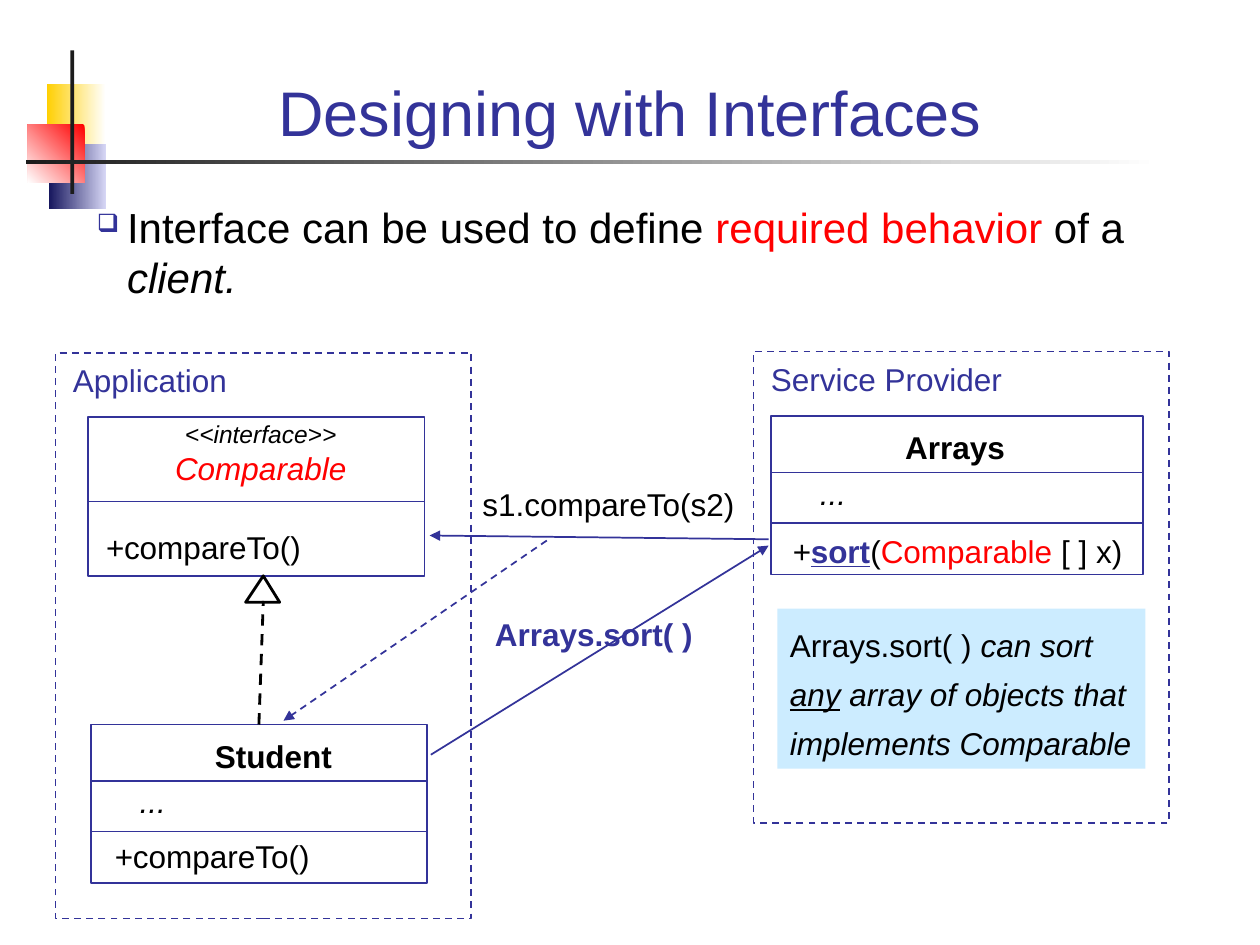
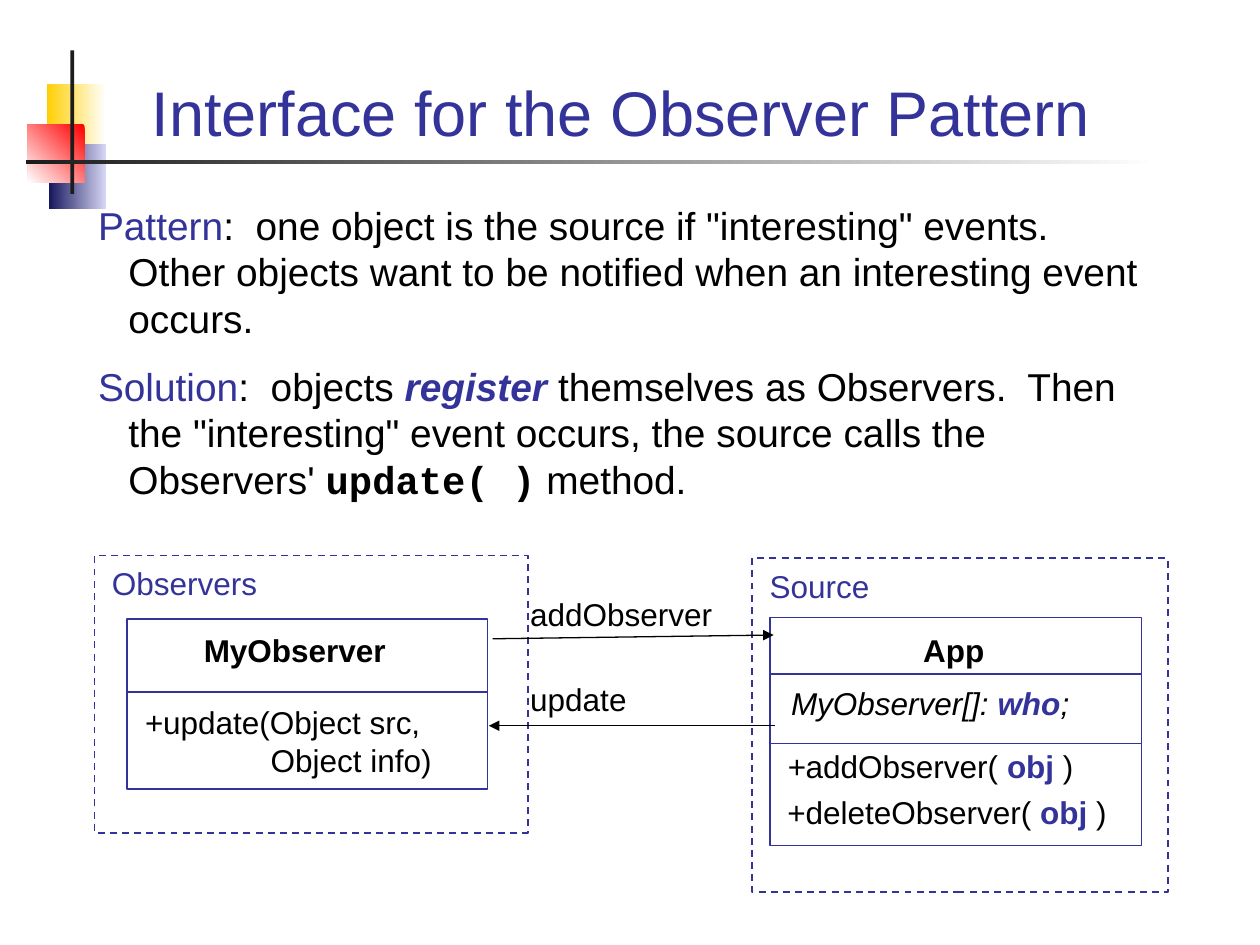
from lxml import etree
from pptx import Presentation
from pptx import util as u
from pptx.dml.color import RGBColor
from pptx.enum import dml, shapes, text
from pptx.oxml import ns

BLUE = RGBColor(0x33, 0x33, 0x99)
RED = RGBColor(0xFF, 0, 0)
BLACK = RGBColor(0, 0, 0)
WHITE = RGBColor(0xFF, 0xFF, 0xFF)
GOLD = RGBColor(0xFF, 0xCF, 0x01)
NAVY = RGBColor(0x17, 0x17, 0x5E)
LILAC = RGBColor(0xD6, 0xD6, 0xF5)
DARK = RGBColor(0x1C, 0x1C, 0x1C)
SKY = RGBColor(0xCC, 0xEC, 0xFF)

LEFT, MID = text.PP_ALIGN.LEFT, text.PP_ALIGN.CENTER
RECT = shapes.MSO_SHAPE.RECTANGLE
DASH = dml.MSO_LINE.DASH

# Run formats
ITAL = dict(italic=True)
BOLD = dict(bold=True)
TINT = dict(color=BLUE)
MARK = dict(color=BLUE, bold=True)
HOT = dict(color=RED)


def write(page, box, *paras, size=18, color=BLACK, align=LEFT, wrap=False,
          low=False, gap=0, space=None, hang=0, bullet=None, tab=0, fill=None):
    """Each paragraph is a list of runs: a string, or (string, format)."""
    item = page.shapes.add_textbox(*map(u.Inches, box))
    if fill is not None:
        item.fill.solid()
        item.fill.fore_color.rgb = fill
    frame = item.text_frame
    frame.word_wrap = wrap
    if low:
        frame.vertical_anchor = text.MSO_ANCHOR.BOTTOM
    for n, runs in enumerate(paras):
        para = frame.paragraphs[0] if n == 0 else frame.add_paragraph()
        para.alignment = align
        if space:
            para.line_spacing = space
        if n and gap:
            para.space_before = u.Pt(gap)
        props = para._p.get_or_add_pPr()
        if hang:
            props.set("marL", str(u.Inches(hang)))
            props.set("indent", str(-u.Inches(hang)))
        if bullet:
            tone = etree.SubElement(props, ns.qn("a:buClr"))
            etree.SubElement(tone, ns.qn("a:srgbClr"), val=str(BLUE))
            etree.SubElement(props, ns.qn("a:buSzPct"), val="60000")
            etree.SubElement(props, ns.qn("a:buChar"), char=bullet)
        if tab:
            stops = etree.SubElement(props, ns.qn("a:tabLst"))
            etree.SubElement(stops, ns.qn("a:tab"), pos=str(u.Inches(tab)),
                             algn="l")
        for part in runs:
            words, look = part if isinstance(part, tuple) else (part, {})
            run = para.add_run()
            run.text = words
            font = run.font
            font.name = look.get("name", "Arial")
            font.size = u.Pt(look.get("size", size))
            font.color.rgb = look.get("color", color)
            font.bold = look.get("bold", False)
            font.italic = look.get("italic", False)
            font.underline = look.get("under", False)


def link(page, x1, y1, x2, y2, color=BLUE, width=1, dash=False, arrow=False):
    line = page.shapes.add_connector(
        shapes.MSO_CONNECTOR.STRAIGHT, *map(u.Inches, (x1, y1, x2, y2)))
    line.line.color.rgb = color
    line.line.width = u.Pt(width)
    if dash:
        line.line.dash_style = DASH
    if arrow:
        etree.SubElement(line.line._get_or_add_ln(), ns.qn("a:tailEnd"),
                         type="triangle")
    etree.SubElement(line._element.spPr, ns.qn("a:effectLst"))
    return line


deck = Presentation()
deck.slide_width, deck.slide_height = u.Inches(10), u.Inches(7.5)

# Shared look: corner squares, cross bars and title
BANDS = [
    ((0.37, 0.67, 0.47, 0.52), WHITE, GOLD, 180),
    ((0.39, 1.14, 0.45, 0.52), LILAC, NAVY, 180),
    ((0.22, 0.99, 0.45, 0.46), RED, WHITE, 225),
    ((0.56, 0.4, 0.03, 1.14), DARK, DARK, 180),
    ((0.21, 1.27, 8.99, 0.03), WHITE, DARK, 180),
]
pages = []
for title in ("Designing with Interfaces", "Interface for the Observer Pattern "):
    page = deck.slides.add_slide(deck.slide_layouts[6])
    pages.append(page)
    for box, start, end, angle in BANDS:
        band = page.shapes.add_shape(RECT, *map(u.Inches, box))
        band.shadow.inherit = False
        band.line.fill.background()
        if start == end:
            band.fill.solid()
            band.fill.fore_color.rgb = start
        else:
            band.fill.gradient()
            band.fill.gradient_angle = angle
            for stop, tone in zip(band.fill.gradient_stops, (start, end)):
                stop.color.rgb = tone
    write(page, (0.67, 0.28, 8.66, 0.95), [title], size=36, color=BLUE,
          align=MID, wrap=True, low=True)
first, second = pages

# Class boxes and dashed frames: page, name, box, divider heights
BOXES = [
    (first, "Comparable", (0.7, 3.31, 2.67, 1.26), [3.98]),
    (first, "Student", (0.72, 5.75, 2.67, 1.26), [6.2, 6.6]),
    (first, "Arrays", (6.12, 3.3, 2.95, 1.26), [3.75, 4.15]),
    (first, "Application", (0.44, 2.8, 3.3, 4.49), []),
    (first, "Service Provider", (5.98, 2.79, 3.3, 3.74), []),
    (second, "MyObserver", (1.01, 4.91, 2.86, 1.35), [5.49]),
    (second, "App", (6.11, 4.9, 2.95, 1.81), [5.35, 5.9]),
    (second, "Observers", (0.75, 4.41, 3.44, 2.2), []),
    (second, "Source", (5.97, 4.43, 3.3, 2.65), []),
]
rects = {}
for page, name, box, cuts in BOXES:
    rect = page.shapes.add_shape(RECT, *map(u.Inches, box))
    rect.shadow.inherit = False
    rect.fill.background()
    rect.line.color.rgb = BLUE
    rect.line.width = u.Pt(1)
    rects[name] = rect
    x, y, w, h = box
    for cut in cuts:
        link(page, x, cut, x + w, cut)
    if not cuts:
        rect.line.dash_style = DASH
        write(page, (x + 0.04, y + 0.02, 2.24, 0.4), [name], color=BLUE,
              wrap=True)

# Class names: page, name, centre, top
for page, name, x, y in [
    (first, "Student", 2.17, 5.8),
    (first, "Arrays", 7.58, 3.35),
    (second, "MyObserver", 2.34, 4.96),
    (second, "App", 7.57, 4.96),
]:
    write(page, (x - 1, y, 2, 0.4), [(name, BOLD)], align=MID, wrap=True)

# Slide 1: statement
write(first, (0.67, 1.55, 8.66, 1.02),
      ["Interface can be used to define ", ("required behavior", HOT),
       " of a ", ("client.", ITAL)],
      size=24, wrap=True, hang=0.24, bullet="❑")

# Slide 1: class members
write(first, (1.19, 3.28, 1.76, 0.64),
      [("<<interface>>", dict(size=14, italic=True))],
      [("Comparable", dict(color=RED, italic=True))], align=MID)
for x, y in ((0.74, 4.14), (0.81, 6.59)):
    write(first, (x, y, 2.2, 0.4), [("+", ITAL), "compareTo()"])
for x, y in ((1.01, 6.16), (6.41, 3.71)):
    write(first, (x, y, 0.6, 0.4), [("...", ITAL)])
write(first, (6.19, 4.17, 2.88, 0.4),
      [("+", ITAL), ("sort", dict(MARK, under=True)), "(",
       ("Comparable", HOT), " [ ] x)"])

# Slide 1: Student implements Comparable
stem = link(first, 2.07, 5.75, 2.09, 4.77, BLACK, 1.62, dash=True)
stem.begin_connect(rects["Student"], 0)
pen = first.shapes.build_freeform(u.Inches(1.95), u.Inches(4.78))
pen.add_line_segments([(u.Inches(2.22), u.Inches(4.78)),
                       (u.Inches(2.09), u.Inches(4.57))], close=True)
head = pen.convert_to_shape()
head.shadow.inherit = False
head.fill.background()
head.line.color.rgb = BLACK
head.line.width = u.Pt(1.62)

# Slide 1: calls
link(first, 3.42, 5.99, 6.1, 4.33, arrow=True)
link(first, 6.1, 4.28, 3.41, 4.25, arrow=True)
link(first, 4.34, 4.29, 2.25, 5.72, dash=True, arrow=True)
write(first, (3.83, 4.83, 2, 0.4), [("Arrays.sort( )", MARK)])
write(first, (3.73, 3.8, 2.4, 0.4), ["s1.compareTo(s2)"])

# Slide 1: remark
write(first, (6.17, 4.83, 2.92, 1.27),
      ["Arrays.sort( )", (" can sort ", ITAL),
       ("any", dict(italic=True, under=True)),
       (" array of objects that implements Comparable", ITAL)],
      wrap=True, space=1.3, fill=SKY)

# Slide 2: statement
write(second, (0.68, 1.55, 8.65, 2.65),
      [("Pattern", TINT),
       ":  one object is the source if \"interesting\" events.  Other objects "
       "want to be notified when an interesting event occurs."],
      [("Solution", TINT), ":  objects ",
       ("register ", dict(MARK, italic=True)),
       "themselves as Observers.  Then the \"interesting\" event occurs, "
       "the source calls the Observers' ",
       ("update( )", dict(name="Courier New", bold=True)), " method."],
      size=22.2, wrap=True, gap=12, hang=0.24)

# Slide 2: class members
write(second, (1.05, 5.53, 2.8, 0.7),
      [("+", ITAL), "update(Object src, "], ["\tObject info)"],
      wrap=True, tab=1)
write(second, (6.18, 5.38, 2.8, 0.4),
      [("MyObserver[]: ", ITAL), ("who", dict(MARK, italic=True)),
       (";", ITAL)], wrap=True)
write(second, (6.15, 5.88, 3.1, 0.77),
      [("+", ITAL), "addObserver( ", ("obj", MARK), " )"],
      ["+deleteObserver( ", ("obj", MARK), " )"], wrap=True, gap=4.5)

# Slide 2: messages
link(second, 3.91, 5.07, 6.14, 5.04, BLACK, 0.75, arrow=True)
link(second, 6.15, 5.76, 3.88, 5.76, BLACK, 0.75, arrow=True)
for y, label in ((4.67, "addObserver"), (5.35, "update")):
    write(second, (4.11, y, 1.77, 0.4), [label], wrap=True)

deck.save("out.pptx")
